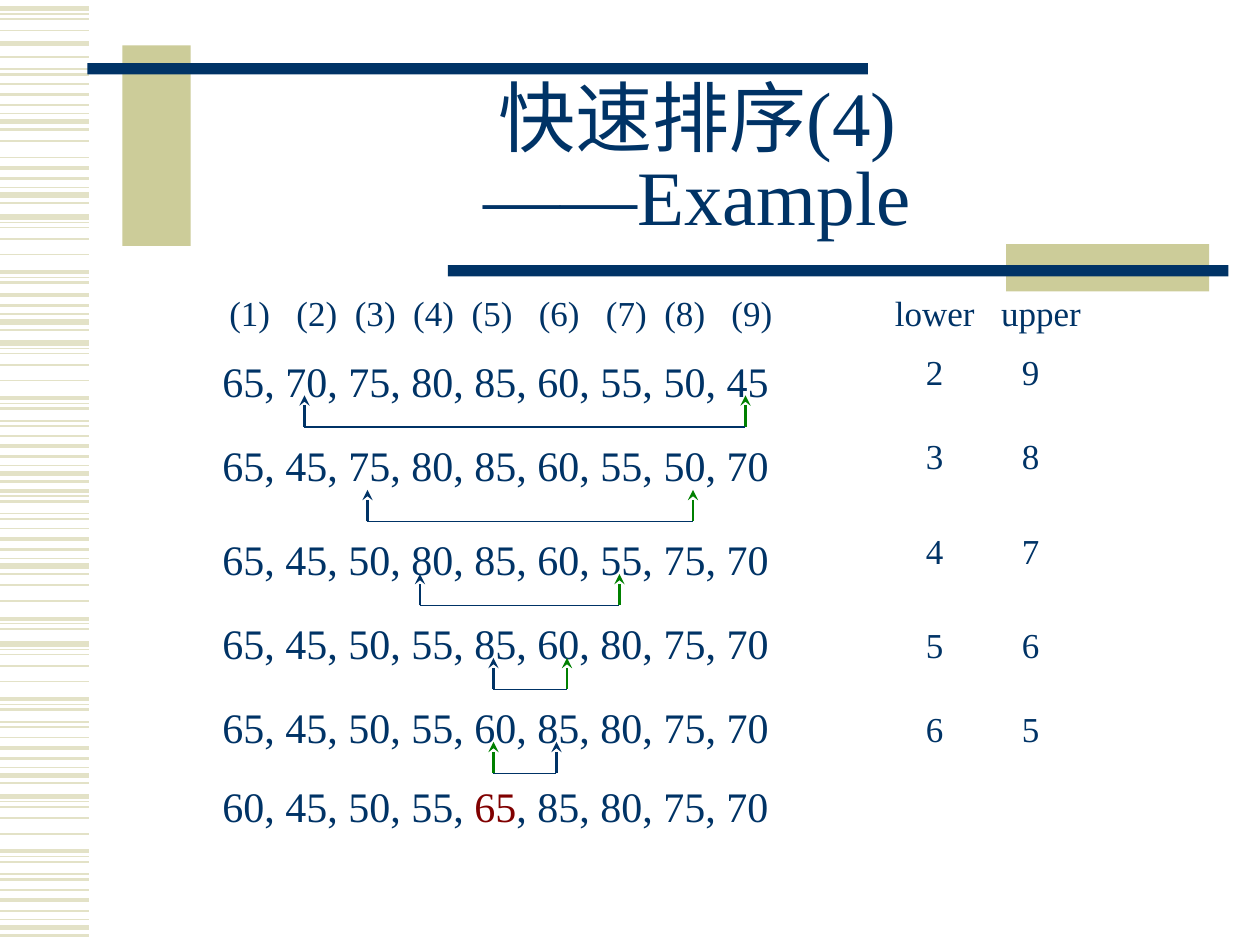
from lxml import etree
from pptx import Presentation
from pptx.dml.color import RGBColor
from pptx.enum import shapes, text
from pptx.oxml import ns
from pptx.util import Pt

NAVY = RGBColor(0x00, 0x33, 0x66)
GREEN = RGBColor(0x00, 0x80, 0x00)
MAROON = RGBColor(0x80, 0x00, 0x00)
KHAKI = RGBColor(0xCC, 0xCC, 0x99)
PALE_KHAKI = RGBColor(0xE3, 0xE2, 0xC7)
FONT = "Times New Roman"

# Stripe motifs: (offset, line width)
SHORT_MOTIF = [(0, 1), (6, 2.25), (12, 1.5), (17, 0.75), (21.5, 3), (26, 1.5)]
LONG_MOTIF = [(0, 3), (3, 0.75), (6, 1), (12.5, 1), (21.5, 1), (31.5, 2.25),
              (34.5, 0.75), (37.5, 1.5), (44.5, 0.75), (47.5, 1.5)]
# Stripe bands: (top, part of a motif)
BANDS = [(top, SHORT_MOTIF) for top in (48, 90, 249, 302, 421.5, 508.5)]
BANDS += [(top, LONG_MOTIF) for top in (196, 368, 455)]
BANDS += [(162.5, SHORT_MOTIF[1:]), (5, LONG_MOTIF[:4]), (25, LONG_MOTIF[:1]),
          (-5, LONG_MOTIF[7:]), (59, LONG_MOTIF[4:5]), (124, LONG_MOTIF[:8]),
          (249, LONG_MOTIF[5:]), (322, LONG_MOTIF[3:8])]

# Column headings, each with the gap that follows it
HEADINGS = [("(1)", 15), ("(2)", 10), ("(3)", 10), ("(4)", 10), ("(5)", 15), ("(6)", 15),
            ("(7)", 10), ("(8)", 15), ("(9)", 70), ("lower", 15), ("upper", 0)]
SPACE_WIDTH = 5

# Steps: numbers, row top, bounds, bounds top, bracket base, lower x, upper x
STEPS = [
    ("65, 70, 75, 80, 85, 60, 55, 50, 45", 202.5, (2, 9), 197.5, 244, 174, 426),
    ("65, 45, 75, 80, 85, 60, 55, 50, 70", 250.5, (3, 8), 245.5, 298, 210, 396),
    ("65, 45, 50, 80, 85, 60, 55, 75, 70", 304.5, (4, 7), 299.5, 346, 240, 354),
    ("65, 45, 50, 55, 85, 60, 80, 75, 70", 352.5, (5, 6), 353.5, 394, 282, 324),
    ("65, 45, 50, 55, 60, 85, 80, 75, 70", 400.5, (6, 5), 401.5, 442, 318, 282),
]
RESULT = [("60, 45, 50, 55, ", NAVY), ("65", MAROON), (", 85, 80, 75, 70", NAVY)]


def apply(target, **values):
    for name, value in values.items():
        setattr(target, name, value)


def place(shape, box):
    sides = ("left", "top", "width", "height")
    apply(shape, **{side: Pt(value) for side, value in zip(sides, box)})


def write(para, content, size, colour=NAVY):
    span = para.add_run()
    span.text = content
    apply(span.font, name=FONT, size=Pt(size), bold=False)
    span.font.color.rgb = colour
    return span


def add_line(parent, start, end, colour, width, arrow=False):
    line = parent.shapes.add_connector(
        shapes.MSO_CONNECTOR.STRAIGHT, *(Pt(value) for value in start + end))
    line.line.color.rgb = colour
    line.line.width = Pt(width)
    if arrow:
        etree.SubElement(line.line._get_or_add_ln(), ns.qn("a:tailEnd"), type="stealth")
    etree.SubElement(line._element.spPr, ns.qn("a:effectLst"))


def add_stripes(page, box):
    left, top, width, _ = box
    group = page.shapes.add_group_shape()
    for band_top, motif in BANDS:
        for offset, weight in motif:
            y = top + band_top + offset
            add_line(group, (left, y), (left + width, y), PALE_KHAKI, weight)


def add_frame(page, box):
    """Khaki blocks and navy bars around the title."""
    left, top, width, height = box
    bar_width, bar_height = 446, 6.5
    parts = [
        ((left + 20, top, 39, 114.5), KHAKI),
        ((left, top + 10, bar_width, bar_height), NAVY),
        ((left + width - 127, top + height - 27, 116, 27), KHAKI),
        ((left + width - bar_width, top + height - 15, bar_width, bar_height), NAVY),
    ]
    for part, colour in parts:
        block = page.shapes.add_shape(
            shapes.MSO_SHAPE.RECTANGLE, *(Pt(value) for value in part))
        block.shadow.inherit = False
        block.fill.solid()
        block.fill.fore_color.rgb = colour
        block.line.fill.background()


def fill_title(page, box):
    title = page.shapes.title
    place(title, box)
    apply(title.text_frame, vertical_anchor=text.MSO_ANCHOR.MIDDLE,
          auto_size=text.MSO_AUTO_SIZE.NONE, word_wrap=True)
    para = title.text_frame.paragraphs[0]
    apply(para, alignment=text.PP_ALIGN.CENTER, line_spacing=0.85)
    write(para, "快速排序(4)", 44)
    para.add_line_break()
    write(para, "——Example", 44)


def fill_headings(page, box):
    """Headings in one line; each gap is one space widened by letter spacing."""
    body = page.placeholders[1]
    place(body, box)
    apply(body.text_frame, vertical_anchor=text.MSO_ANCHOR.TOP, margin_left=Pt(67),
          margin_top=Pt(4.5), auto_size=text.MSO_AUTO_SIZE.NONE, word_wrap=True)
    para = body.text_frame.paragraphs[0]
    apply(para, line_spacing=1.0, space_before=Pt(4), space_after=Pt(3))
    properties = para._p.get_or_add_pPr()
    properties.set("marL", "0")
    properties.set("indent", "0")
    etree.SubElement(properties, ns.qn("a:buNone"))
    for heading, gap in HEADINGS:
        write(para, heading, 20)
        if gap:
            space = write(para, " ", 20)
            space.font._element.set("spc", str((gap - SPACE_WIDTH) * 100))


def add_text(page, box, spans, size, wrap=False):
    label = page.shapes.add_textbox(*(Pt(value) for value in box))
    apply(label.text_frame, word_wrap=wrap, vertical_anchor=text.MSO_ANCHOR.MIDDLE)
    para = label.text_frame.paragraphs[0]
    for content, colour in spans:
        write(para, content, size, colour)
    return label.text_frame


def add_bounds(page, box, bounds):
    frame = add_text(page, box, [], 20, wrap=True)
    frame.margin_left = Pt(13)
    para = frame.paragraphs[0]
    tabs = etree.SubElement(para._p.get_or_add_pPr(), ns.qn("a:tabLst"))
    etree.SubElement(tabs, ns.qn("a:tab"), pos=str(Pt(55)), algn="l")
    write(para, "\t".join(str(bound) for bound in bounds), 20)


def add_bracket(page, base, lower, upper):
    """Arrows up to the two swapped numbers, joined at the base."""
    group = page.shapes.add_group_shape()
    for x, colour in ((lower, NAVY), (upper, GREEN)):
        add_line(group, (x, base), (x, base - 18), colour, 1.5, arrow=True)
    add_line(group, (lower, base), (upper, base), NAVY, 0.75)


def add_steps(page, box):
    left, top, width, _ = box
    row_width, row_height, bounds_width = 330, 30, 120
    for numbers, row, bounds, bounds_top, base, lower, upper in STEPS:
        add_text(page, (left, top + row, row_width, row_height), [(numbers, NAVY)], 24)
        add_bracket(page, top + base, left + lower - 120, left + upper - 120)
        add_bounds(page, (left + width - bounds_width, top + bounds_top,
                          bounds_width, row_height), bounds)
    add_text(page, (left, top + 445.5, row_width, row_height), RESULT, 24)


def main():
    deck = Presentation()
    apply(deck, slide_width=Pt(720), slide_height=Pt(540))
    page = deck.slides.add_slide(deck.slide_layouts[1])
    add_stripes(page, (0, 0, 51, 540))
    add_frame(page, (50, 26, 652, 140.5))
    fill_title(page, (108, 48, 581, 90))
    fill_headings(page, (64, 162, 626, 342))
    add_steps(page, (120, 0, 516, 540))
    deck.save("out.pptx")


if __name__ == "__main__":
    main()
